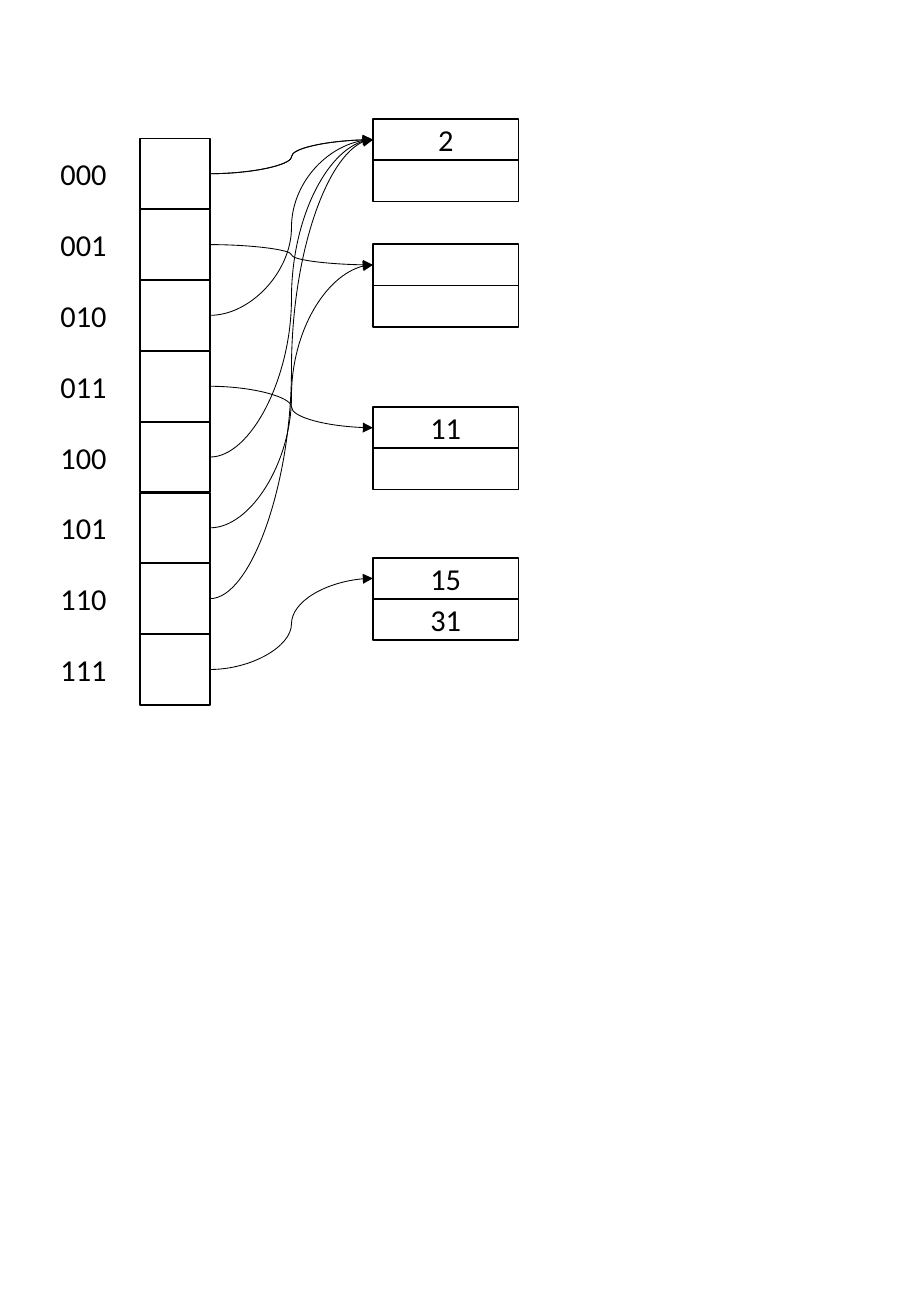
"""Build a slide of an extendible hashing directory and its buckets."""
from dataclasses import dataclass

import lxml.etree
import pptx
import pptx.dml.color
import pptx.enum.shapes
import pptx.enum.text
import pptx.oxml.ns
import pptx.util
from pptx.util import Inches


@dataclass(frozen=True)
class Theme:
    """Colours, font and sizes used on the slide."""
    ink: pptx.dml.color.RGBColor = pptx.dml.color.RGBColor(0, 0, 0)
    font: str = "Calibri"
    text_size: int = 18
    box_line: float = 1
    arrow_line: float = 0.5


@dataclass(frozen=True)
class Bucket:
    """A bucket with its top edge in inches and its slot texts."""
    top: float
    slots: tuple[str, str]


@dataclass(frozen=True)
class Link:
    """An arrow from a directory entry to a bucket."""
    entry: int
    bucket: int


THEME = Theme()
DIRECTORY_SIZE = 8
DIRECTORY_LEFT, DIRECTORY_TOP, LAST_ENTRY_TOP = 1.15, 1.14, 5.22
ENTRY_PITCH = (LAST_ENTRY_TOP - DIRECTORY_TOP) / (DIRECTORY_SIZE - 1)
ENTRY_SIDE = 0.58
LABEL_LEFT, LABEL_TOP, LABEL_WIDTH, LABEL_HEIGHT = 0.4, 1.23, 0.66, 0.4
BUCKET_LEFT, SLOT_WIDTH, SLOT_HEIGHT = 3.07, 1.2, 0.34
BUCKETS = (
    Bucket(0.98, ("2", "")),
    Bucket(2.01, ("", "")),
    Bucket(3.35, ("11", "")),
    Bucket(4.59, ("15", "31")),
)
LINKS = (
    Link(0, 0), Link(4, 0), Link(2, 0), Link(6, 0), Link(0, 0),
    Link(1, 1), Link(5, 1), Link(3, 2), Link(7, 3),
)


def write_text(shape, text: str, alignment: pptx.enum.text.PP_ALIGN) -> None:
    """Write one styled paragraph into a shape."""
    shape.text_frame.word_wrap = True
    paragraph = shape.text_frame.paragraphs[0]
    paragraph.text = text
    paragraph.alignment = alignment
    paragraph.font.name = THEME.font
    paragraph.font.size = pptx.util.Pt(THEME.text_size)
    paragraph.font.color.rgb = THEME.ink


def add_box(shapes, left: float, top: float, width: float, height: float, text: str = ""):
    """Add an outlined rectangle, with centred text if there is any."""
    box = shapes.add_shape(
        pptx.enum.shapes.MSO_SHAPE.RECTANGLE,
        Inches(left), Inches(top), Inches(width), Inches(height),
    )
    box.shadow.inherit = False
    box.fill.background()
    box.line.color.rgb = THEME.ink
    box.line.width = pptx.util.Pt(THEME.box_line)
    if text:
        box.text_frame.vertical_anchor = pptx.enum.text.MSO_ANCHOR.MIDDLE
        write_text(box, text, pptx.enum.text.PP_ALIGN.CENTER)
    return box


def add_entry(slide, index: int):
    """Add a directory entry with its binary label and return its cell."""
    offset = index * ENTRY_PITCH
    label = slide.shapes.add_textbox(
        Inches(LABEL_LEFT), Inches(LABEL_TOP + offset), Inches(LABEL_WIDTH), Inches(LABEL_HEIGHT)
    )
    write_text(label, f"{index:03b}", pptx.enum.text.PP_ALIGN.LEFT)
    label.text_frame.auto_size = pptx.enum.text.MSO_AUTO_SIZE.SHAPE_TO_FIT_TEXT
    return add_box(slide.shapes, DIRECTORY_LEFT, DIRECTORY_TOP + offset, ENTRY_SIDE, ENTRY_SIDE)


def add_bucket(slide, bucket: Bucket):
    """Add a grouped bucket and return its first slot."""
    group = slide.shapes.add_group_shape()
    slots = [
        add_box(group.shapes, BUCKET_LEFT, bucket.top + row * SLOT_HEIGHT,
                SLOT_WIDTH, SLOT_HEIGHT, text)
        for row, text in enumerate(bucket.slots)
    ]
    return slots[0]


def add_link(slide, entry, slot) -> None:
    """Join an entry to a bucket slot with a curved arrow."""
    connector = slide.shapes.add_connector(pptx.enum.shapes.MSO_CONNECTOR.CURVE, 0, 0, 0, 0)
    connector.begin_connect(entry, 3)
    connector.end_connect(slot, 1)
    connector.line.color.rgb = THEME.ink
    connector.line.width = pptx.util.Pt(THEME.arrow_line)
    line = connector.line._get_or_add_ln()
    lxml.etree.SubElement(line, pptx.oxml.ns.qn("a:tailEnd"), type="triangle")
    properties = connector._element.spPr
    lxml.etree.SubElement(properties, pptx.oxml.ns.qn("a:effectLst"))


def main() -> None:
    """Build and save the presentation."""
    presentation = pptx.Presentation()
    presentation.slide_width = Inches(7.5)
    presentation.slide_height = Inches(10.83)
    slide = presentation.slides.add_slide(presentation.slide_layouts[6])
    entries = [add_entry(slide, index) for index in range(DIRECTORY_SIZE)]
    first_slots = [add_bucket(slide, bucket) for bucket in BUCKETS]
    for link in LINKS:
        add_link(slide, entries[link.entry], first_slots[link.bucket])
    presentation.save("out.pptx")


if __name__ == "__main__":
    main()
